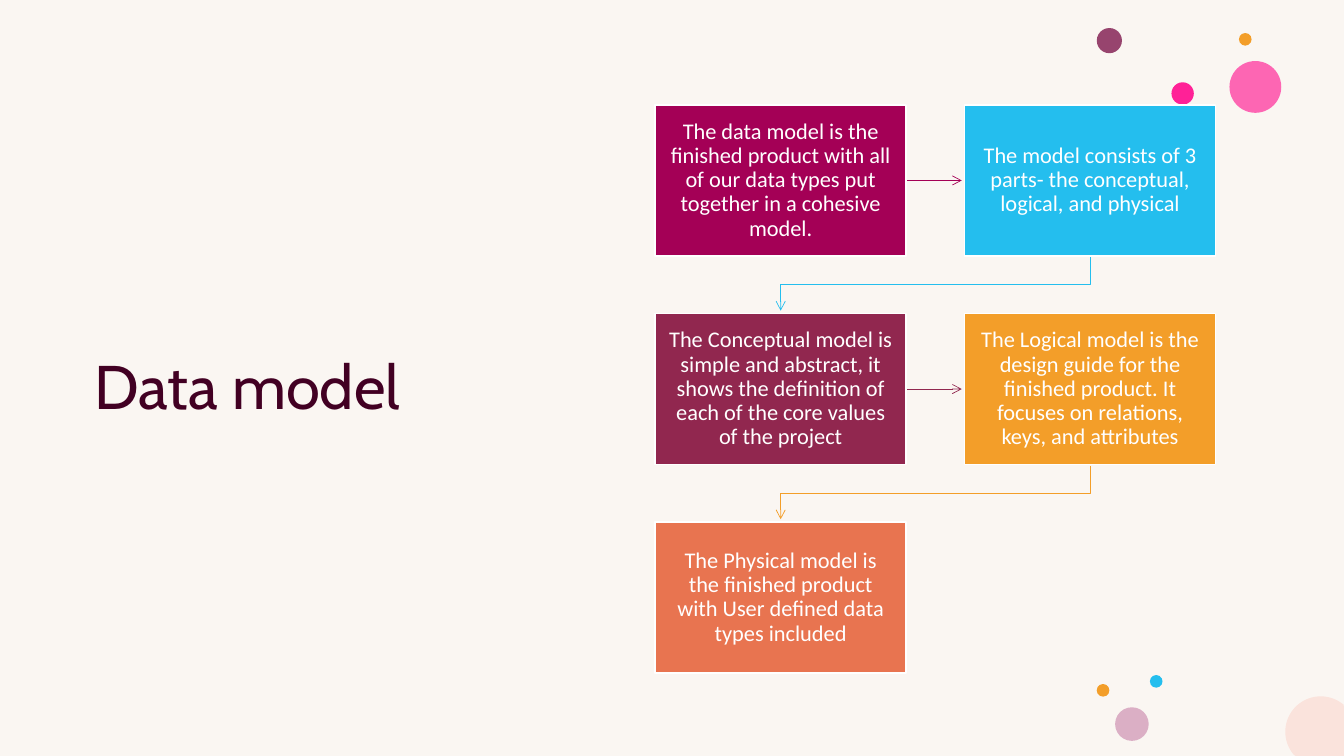
"""Build the data model slide: a title, a five-step flow and scattered dots."""
from math import cos, radians, sin

from lxml.etree import SubElement
from pptx import Presentation
from pptx.dml.color import RGBColor
from pptx.enum.shapes import MSO_CONNECTOR as CONNECTOR, MSO_SHAPE as SHAPE
from pptx.enum.text import MSO_ANCHOR as ANCHOR, PP_ALIGN as ALIGN
from pptx.oxml.ns import qn
from pptx.util import Pt

COLORS = {
    "paper": "FAF6F2", "ink": "420023", "white": "FFFFFF", "magenta": "A40056",
    "sky": "24BEEE", "wine": "91274F", "amber": "F39E29", "coral": "E87450",
    "plum": "97446E", "pink": "FF2F9C", "hot pink": "FF2197", "mauve": "DBAFC5",
    "blush": "FAE3DC",
}
SLIDE_WIDTH, SLIDE_HEIGHT = 960, 540
BOX_LEFT, BOX_TOP, BOX_WIDTH, BOX_HEIGHT = 468, 74.9, 179.3, 108
COLUMN_STEP, ROW_STEP = 221, 149


def color(name):
    return RGBColor.from_string(COLORS[name])


def write(shape, text, size, font, color_name, paragraph_format, frame_format):
    frame = shape.text_frame
    for name, value in frame_format.items():
        setattr(frame, name, value)
    paragraph = frame.paragraphs[0]
    for name, value in paragraph_format.items():
        setattr(paragraph, name, value)
    run = paragraph.add_run()
    run.text = text
    run.font.size, run.font.name = Pt(size), font
    run.font.color.rgb = color(color_name)


presentation = Presentation()
presentation.slide_width, presentation.slide_height = Pt(SLIDE_WIDTH), Pt(SLIDE_HEIGHT)
slide = presentation.slides.add_slide(presentation.slide_layouts[6])
shapes = slide.shapes
slide.background.fill.solid()
slide.background.fill.fore_color.rgb = color("paper")

title = shapes.add_textbox(Pt(60.5), Pt(74.9), Pt(362.9), Pt(406))
write(title, "Data model", 44, "Cabin", "ink", {"line_spacing": 0.9},
      {"word_wrap": True, "vertical_anchor": ANCHOR.MIDDLE})

dots = [
    (783.4, 20, 18, "plum", 100),
    (878.2, 43.6, 37, "pink", 72),
    (885, 23.6, 9, "amber", 100),
    (836.8, 58.8, 16, "hot pink", 100),
    (821.4, 482.2, 9, "sky", 100),
    (796.5, 505.2, 24, "mauve", 100),
    (783.4, 488.6, 9, "amber", 100),
]
for left, top, diameter, fill, opacity in dots:
    dot = shapes.add_shape(SHAPE.OVAL, Pt(left), Pt(top), Pt(diameter), Pt(diameter))
    dot.shadow.inherit = False
    dot.fill.solid()
    dot.fill.fore_color.rgb = color(fill)
    dot.line.fill.background()
    if opacity < 100:
        rgb = dot.element.spPr.find(".//" + qn("a:srgbClr"))
        SubElement(rgb, qn("a:alpha"), val=str(opacity * 1000))

center_x, center_y, radius = 943.4, 522.7, 25.3
rim = [(Pt(min(center_x + radius * cos(radians(angle)), SLIDE_WIDTH)),
        Pt(min(center_y + radius * sin(radians(angle)), SLIDE_HEIGHT)))
       for angle in range(0, 360, 5)]
builder = shapes.build_freeform(*rim[0])
builder.add_line_segments(rim[1:])
corner_dot = builder.convert_to_shape()
corner_dot.shadow.inherit = False
corner_dot.fill.solid()
corner_dot.fill.fore_color.rgb = color("blush")
corner_dot.line.fill.background()

steps = [
    ("The data model is the finished product with all of our data types put "
     "together in a cohesive model.", "magenta"),
    ("The model consists of 3 parts- the conceptual, logical, and physical", "sky"),
    ("The Conceptual model is simple and abstract, it shows the definition of "
     "each of the core values of the project", "wine"),
    ("The Logical model is the design guide for the finished product. It focuses "
     "on relations, keys, and attributes", "amber"),
    ("The Physical model is the finished product with User defined data types "
     "included", "coral"),
]
box_paragraph = {"alignment": ALIGN.CENTER, "line_spacing": 0.9, "space_after": Pt(5.6)}
box_frame = {
    "word_wrap": True, "vertical_anchor": ANCHOR.MIDDLE,
    "margin_left": Pt(8.8), "margin_right": Pt(8.8),
    "margin_top": Pt(9.3), "margin_bottom": Pt(9.3),
}
for index, (text, fill) in enumerate(steps):
    row, column = divmod(index, 2)
    left, top = BOX_LEFT + column * COLUMN_STEP, BOX_TOP + row * ROW_STEP
    right, bottom = left + BOX_WIDTH, top + BOX_HEIGHT
    box = shapes.add_shape(SHAPE.RECTANGLE, Pt(left), Pt(top), Pt(BOX_WIDTH), Pt(BOX_HEIGHT))
    box.shadow.inherit = False
    box.fill.solid()
    box.fill.fore_color.rgb = color(fill)
    box.line.color.rgb = color("white")
    box.line.width = Pt(1)
    write(box, text, 16, "Calibri", "white", box_paragraph, box_frame)

    if index == len(steps) - 1:
        continue
    if column == 0:
        middle = Pt(top + BOX_HEIGHT / 2)
        arrow = shapes.add_connector(CONNECTOR.STRAIGHT, Pt(right + 0.7), middle,
                                     Pt(left + COLUMN_STEP - 2), middle)
    else:
        start_x = Pt(left + BOX_WIDTH / 2)
        end_x = start_x - Pt(COLUMN_STEP)
        turn_y = Pt((bottom + top + ROW_STEP) / 2)
        builder = shapes.build_freeform(start_x, Pt(bottom + 0.7))
        builder.add_line_segments([(start_x, turn_y), (end_x, turn_y),
                                   (end_x, Pt(top + ROW_STEP - 2))], close=False)
        arrow = builder.convert_to_shape()
        arrow.fill.background()
    arrow.line.color.rgb = color(fill)
    arrow.line.width = Pt(0.5)
    properties = arrow.element.spPr
    SubElement(properties.find(qn("a:ln")), qn("a:tailEnd"), type="arrow")
    SubElement(properties, qn("a:effectLst"))

presentation.save("out.pptx")
